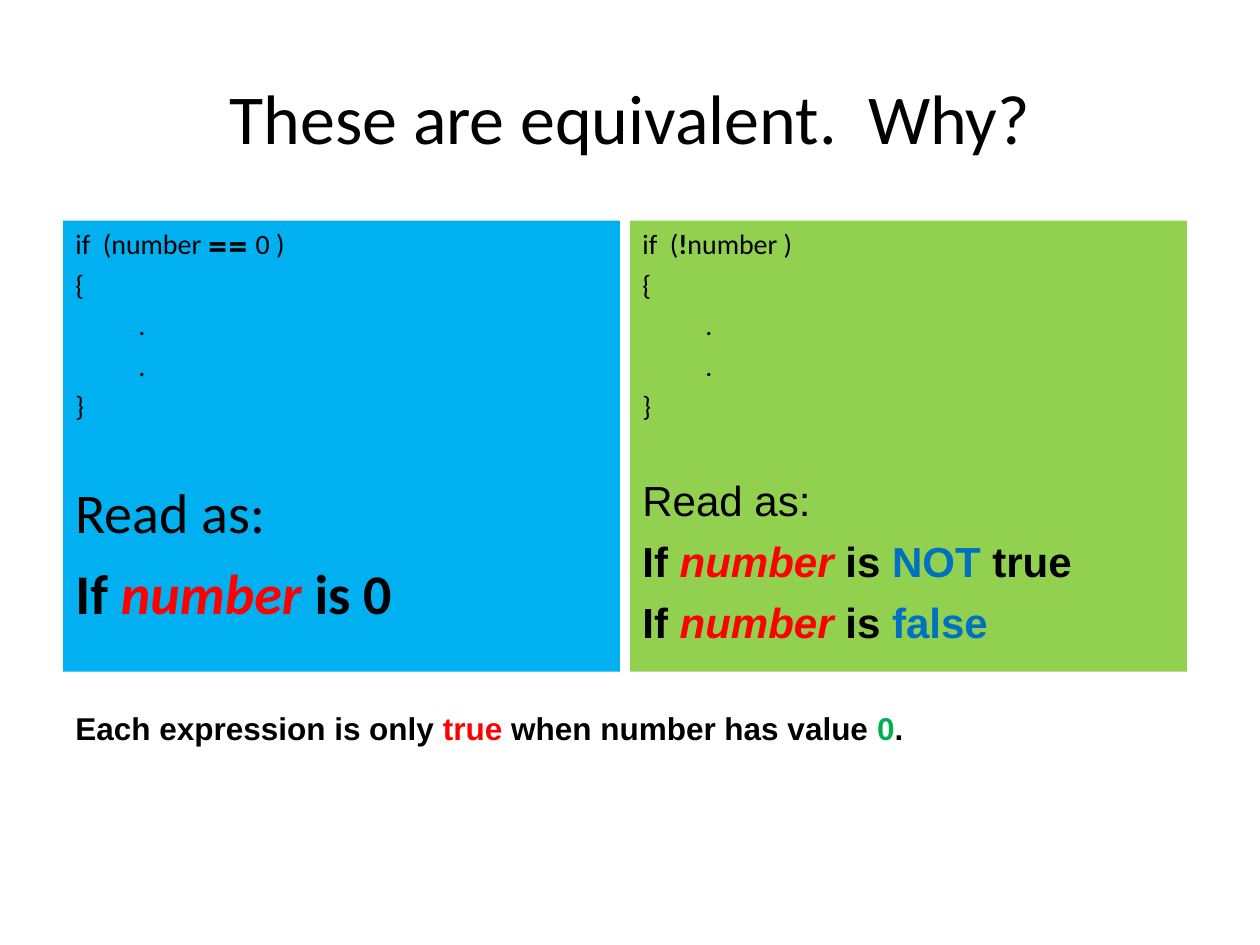
from dataclasses import dataclass

from pptx import Presentation
from pptx.dml.color import RGBColor
from pptx.enum.shapes import MSO_SHAPE
from pptx.enum.text import MSO_ANCHOR, PP_ALIGN
from pptx.util import Inches, Pt

RECTANGLE = MSO_SHAPE.RECTANGLE
TOP, MIDDLE = MSO_ANCHOR.TOP, MSO_ANCHOR.MIDDLE
LEFT, CENTER = PP_ALIGN.LEFT, PP_ALIGN.CENTER
TITLE_ONLY = 5


@dataclass(frozen=True)
class Theme:
    black: str = "000000"
    red: str = "FF0000"
    blue: str = "0070C0"
    green: str = "00B050"
    left_panel: str = "00B0F0"
    right_panel: str = "92D050"
    heading_font: str = "Calibri"
    plain_font: str = "Arial"
    operator_font: str = "TeX Gyre Adventor"
    title_size: int = 40
    code_size: int = 16
    note_size: int = 18
    left_reading_size: int = 32
    right_reading_size: int = 24


THEME = Theme()
BOLD = {"bold": True}
VARIABLE = ("number", {"bold": True, "italic": True, "color": THEME.red})


def write_line(para, spans, size, font, before=0, indent=0):
    """Fill a paragraph with (text, format) spans."""
    para.alignment = LEFT
    para.space_before = Pt(before)
    if indent:
        para.level = 1
        para._p.get_or_add_pPr().set("marL", str(Inches(indent)))
    for text, changes in spans:
        span = para.add_run()
        span.text = text
        values = {"name": font, "size": Pt(size), "bold": False,
                  "italic": False, "color": THEME.black, **changes}
        span.font.color.rgb = RGBColor.from_string(values.pop("color"))
        for name, value in values.items():
            setattr(span.font, name, value)


def write_lines(frame, lines):
    frame.word_wrap = True
    frame.vertical_anchor = TOP
    for index, line in enumerate(lines):
        para = frame.add_paragraph() if index else frame.paragraphs[0]
        write_line(para, **line)


def code_lines(condition):
    """The if statement with the given condition and a dotted body."""
    rows = [(condition, 0), ([("{", {})], 0), ([(".", {})], 0.5),
            ([(".", {})], 0.5), ([("}", {})], 0)]
    return [{"spans": spans, "size": THEME.code_size, "font": THEME.heading_font,
             "before": 4 if index else 0, "indent": indent}
            for index, (spans, indent) in enumerate(rows)]


def reading_lines(readings, size, font):
    """The plain-language reading, set apart from the code above it."""
    gap = size / 4
    rows = [[("Read as:", {})], *readings]
    return [{"spans": spans, "size": size, "font": font,
             "before": gap if index else gap + 23.5}
            for index, spans in enumerate(rows)]


def add_title(page, text):
    title = page.shapes.title
    title.left, title.top = Inches(0.5), Inches(0.3)
    title.width, title.height = Inches(9), Inches(1.25)
    title.text_frame.vertical_anchor = MIDDLE
    para = title.text_frame.paragraphs[0]
    write_line(para, [(text, {})], THEME.title_size, THEME.heading_font)
    para.alignment = CENTER


def add_panel(page, left, color, lines):
    panel = page.shapes.add_shape(
        RECTANGLE, Inches(left), Inches(1.75), Inches(4.42), Inches(3.58))
    panel.shadow.inherit = False
    panel.fill.solid()
    panel.fill.fore_color.rgb = RGBColor.from_string(color)
    panel.line.fill.background()
    write_lines(panel.text_frame, lines)


def add_note(page, spans):
    box = page.shapes.add_textbox(
        Inches(0.5), Inches(5.58), Inches(9), Inches(0.67))
    write_lines(box.text_frame, [
        {"spans": spans, "size": THEME.note_size, "font": THEME.plain_font}])


def main():
    deck = Presentation()
    deck.slide_width, deck.slide_height = Inches(10), Inches(7.5)
    page = deck.slides.add_slide(deck.slide_layouts[TITLE_ONLY])
    add_title(page, "These are equivalent.  Why?")
    add_note(page, [
        ("Each expression is only ", BOLD),
        ("true", {**BOLD, "color": THEME.red}),
        (" when number has value ", BOLD),
        ("0", {**BOLD, "color": THEME.green}),
        (".", BOLD)])

    equals_zero = code_lines([
        ("if  (number ", {}),
        ("== ", {**BOLD, "name": THEME.operator_font}),
        ("0 )", {})])
    zero_readings = [[("If ", BOLD), VARIABLE, (" is 0", BOLD)]]
    add_panel(page, 0.5, THEME.left_panel, equals_zero + reading_lines(
        zero_readings, THEME.left_reading_size, THEME.heading_font))

    negation = code_lines([("if  (", {}), ("!", BOLD), ("number )", {})])
    accent = {**BOLD, "color": THEME.blue}
    opening = [("If ", BOLD), VARIABLE, (" is ", BOLD)]
    negation_readings = [
        [*opening, ("NOT", accent), (" true", BOLD)],
        [*opening, ("false", accent)]]
    add_panel(page, 5, THEME.right_panel, negation + reading_lines(
        negation_readings, THEME.right_reading_size, THEME.plain_font))
    deck.save("out.pptx")


if __name__ == "__main__":
    main()
